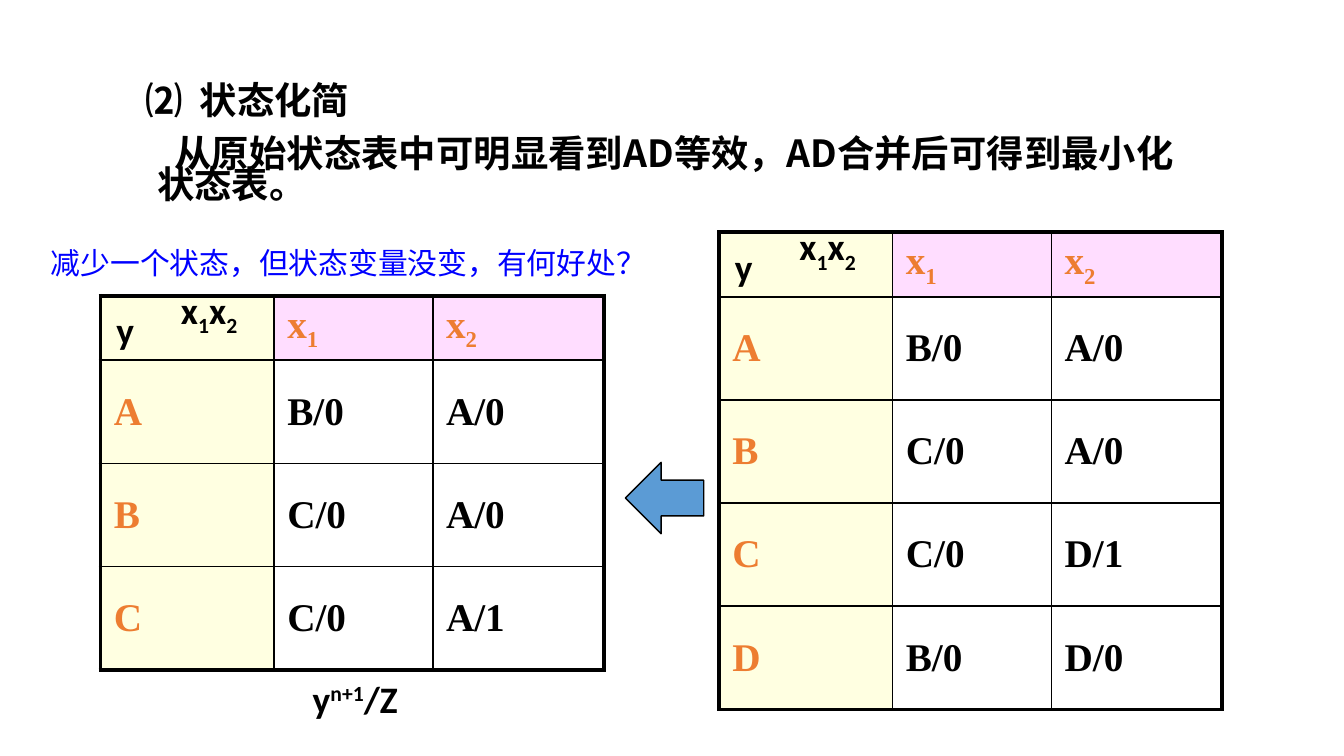
"""Build a slide that shows a state table being reduced to its minimal form."""
from dataclasses import dataclass

from lxml.etree import SubElement
from pptx import Presentation
from pptx.dml.color import RGBColor
from pptx.enum.shapes import MSO_SHAPE as Shape
from pptx.enum.text import MSO_ANCHOR as Anchor, PP_ALIGN as Align
from pptx.oxml.ns import qn
from pptx.util import Cm, Pt


@dataclass(frozen=True)
class Theme:
    black: str = "000000"
    white: str = "FFFFFF"
    blue: str = "0000FF"
    accent: str = "ED7D31"
    arrow: str = "5B9BD5"
    state_fill: str = "FFFFE1"
    input_fill: str = "FFDDFF"
    cjk: str = "Noto Sans CJK JP"
    label: str = "Calibri"
    cell: str = "Times New Roman"
    text_size: float = 20
    cell_size: float = 21
    note_size: float = 16
    outer_line: float = 2.25
    inner_line: float = 1


THEME = Theme()
COLUMNS = (3.28, 3, 3.23)
HEADER_HEIGHT, ROW_HEIGHT = 1.22, 1.95
SUBSCRIPT, SUPERSCRIPT = -25000, 30000


def style_span(span, font, size, color, bold=True, baseline=0):
    """Format one run, including its East Asian font and baseline."""
    span.font.name = font
    span.font.size = Pt(size)
    span.font.bold = bold
    span.font.color.rgb = RGBColor.from_string(color)
    properties = span.font._element
    SubElement(properties, qn("a:ea"), typeface=font)
    if baseline:
        properties.set("baseline", str(baseline))


def write_spans(para, spans, font, size, color, bold=True):
    """Add (text, baseline) spans to a paragraph."""
    for text, baseline in spans:
        span = para.add_run()
        span.text = text
        style_span(span, font, size, color, bold, baseline)


def add_title(page, text):
    """Place the title, with a tab stop after its number."""
    title = page.shapes.title
    title.left, title.top, title.width, title.height = Cm(2.49), Cm(1.42), Cm(7.19), Cm(1.12)
    frame = title.text_frame
    frame.vertical_anchor = Anchor.MIDDLE
    frame.text = text
    para = frame.paragraphs[0]
    para.alignment = Align.LEFT
    stops = SubElement(para._p.get_or_add_pPr(), qn("a:tabLst"))
    SubElement(stops, qn("a:tab"), pos=str(Cm(1.03)), algn="l")
    para.line_spacing = 0.7
    style_span(para.runs[0], THEME.cjk, THEME.text_size, THEME.black)


def add_text(page, place, spans, font, size, color=THEME.black, bold=True):
    """Add a wrapped text box and return it."""
    box = page.shapes.add_textbox(*map(Cm, place))
    box.text_frame.word_wrap = True
    write_spans(box.text_frame.paragraphs[0], spans, font, size, color, bold)
    return box


def add_explanation(page, text):
    """Add the body sentence with its first-line indent."""
    box = add_text(page, (2.24, 2.46, 20.88, 2.08), [(text, 0)], THEME.cjk, THEME.text_size)
    box.text_frame.margin_top = Cm(0.23)
    para = box.text_frame.paragraphs[0]
    para.line_spacing = 0.7
    properties = para._p.get_or_add_pPr()
    properties.set("marL", str(Cm(0.48)))
    properties.set("indent", str(Cm(0.33)))


def add_borders(cell, outer):
    """Draw the four cell edges, thicker on the outside of the table."""
    properties = cell._tc.get_or_add_tcPr()
    for side in "LRTB":
        width = THEME.outer_line if side in outer else THEME.inner_line
        line = SubElement(properties, qn(f"a:ln{side}"), w=str(Pt(width)))
        SubElement(SubElement(line, qn("a:solidFill")), qn("a:srgbClr"), val=THEME.black)


def fill_cell(cell, spans, fill, color, outer):
    """Give a cell its borders, fill and text."""
    add_borders(cell, outer)
    cell.fill.solid()
    cell.fill.fore_color.rgb = RGBColor.from_string(fill)
    cell.vertical_anchor = Anchor.MIDDLE
    cell.margin_left = cell.margin_right = Cm(0.25)
    cell.margin_top = cell.margin_bottom = Cm(0.1)
    write_spans(cell.text_frame.paragraphs[0], spans, THEME.cell, THEME.cell_size, color)


def add_state_table(page, left, top, states):
    """Add a state table with its corner labels."""
    header = [[], [("x", 0), ("1", SUBSCRIPT)], [("x", 0), ("2", SUBSCRIPT)]]
    rows = [header] + [[[(text, 0)] for text in state] for state in states]
    heights = [HEADER_HEIGHT] + [ROW_HEIGHT] * len(states)
    frame = page.shapes.add_table(len(rows), len(COLUMNS), Cm(left), Cm(top),
                                  Cm(sum(COLUMNS)), Cm(sum(heights)))
    table = frame.table
    for column, width in zip(table.columns, COLUMNS):
        column.width = Cm(width)
    for row, height in zip(table.rows, heights):
        row.height = Cm(height)
    for i, row in enumerate(rows):
        for j, spans in enumerate(row):
            edges = {"L": j == 0, "R": j == len(COLUMNS) - 1, "T": i == 0, "B": i == len(rows) - 1}
            outer = [side for side, is_outer in edges.items() if is_outer]
            fill = THEME.state_fill if j == 0 else THEME.input_fill if i == 0 else THEME.white
            color = THEME.black if i and j else THEME.accent
            fill_cell(table.cell(i, j), spans, fill, color, outer)
    inputs = [("x", 0), ("1", SUBSCRIPT), ("x", 0), ("2", SUBSCRIPT)]
    add_text(page, (left + 1.27, top - 0.29, 2.97, 1.24), inputs, THEME.label, THEME.text_size)
    add_text(page, (left + 0.05, top + 0.1, 1.47, 1.09), [("y", 0)], THEME.label, THEME.text_size)


def add_arrow(page):
    """Add the block arrow from the full table to the reduced one."""
    arrow = page.shapes.add_shape(Shape.LEFT_ARROW, Cm(11.82), Cm(8.74), Cm(1.48), Cm(1.35))
    arrow.shadow.inherit = False
    arrow.fill.solid()
    arrow.fill.fore_color.rgb = RGBColor.from_string(THEME.arrow)
    arrow.line.color.rgb = RGBColor.from_string(THEME.black)
    arrow.line.width = Pt(0.75)


def main():
    """Build and save the deck."""
    deck = Presentation()
    deck.slide_width, deck.slide_height = Cm(25.4), Cm(14.29)
    page = deck.slides.add_slide(deck.slide_layouts.get_by_name("Title Only"))
    add_title(page, "⑵\t状态化简")
    add_explanation(page, "从原始状态表中可明显看到AD等效，AD合并后可得到最小化状态表。")
    shared = [("A", "B/0", "A/0"), ("B", "C/0", "A/0")]
    add_state_table(page, 13.59, 4.39, shared + [("C", "C/0", "D/1"), ("D", "B/0", "D/0")])
    add_state_table(page, 1.9, 5.59, shared + [("C", "C/0", "A/1")])
    add_text(page, (5.66, 12.65, 2.97, 1.09), [("y", 0), ("n+1", SUPERSCRIPT), ("/Z", 0)],
             THEME.label, THEME.text_size)
    add_arrow(page)
    add_text(page, (0.71, 4.5, 11.99, 0.94), [("减少一个状态，但状态变量没变，有何好处？", 0)],
             THEME.cjk, THEME.note_size, THEME.blue, bold=False)
    deck.save("out.pptx")


if __name__ == "__main__":
    main()
